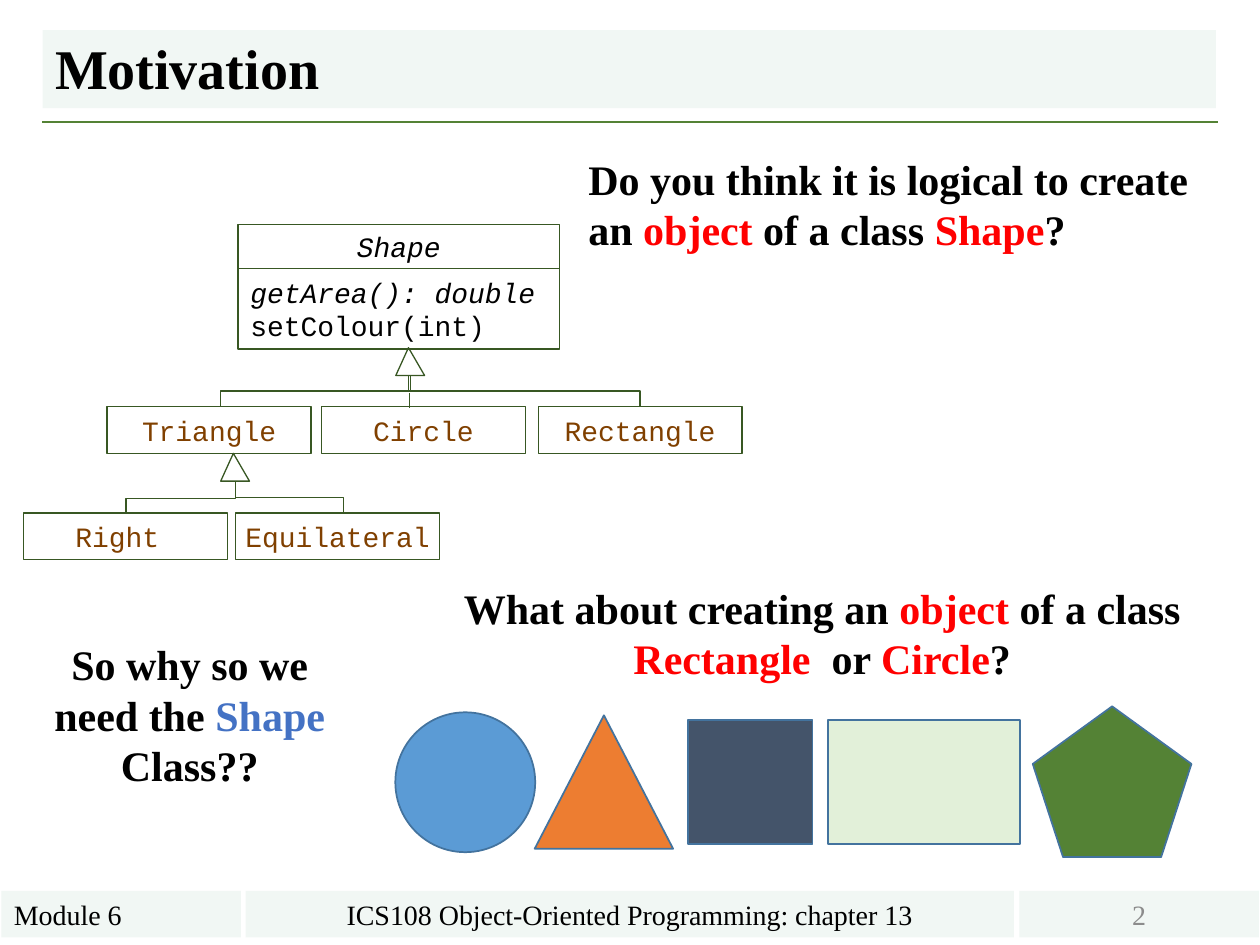
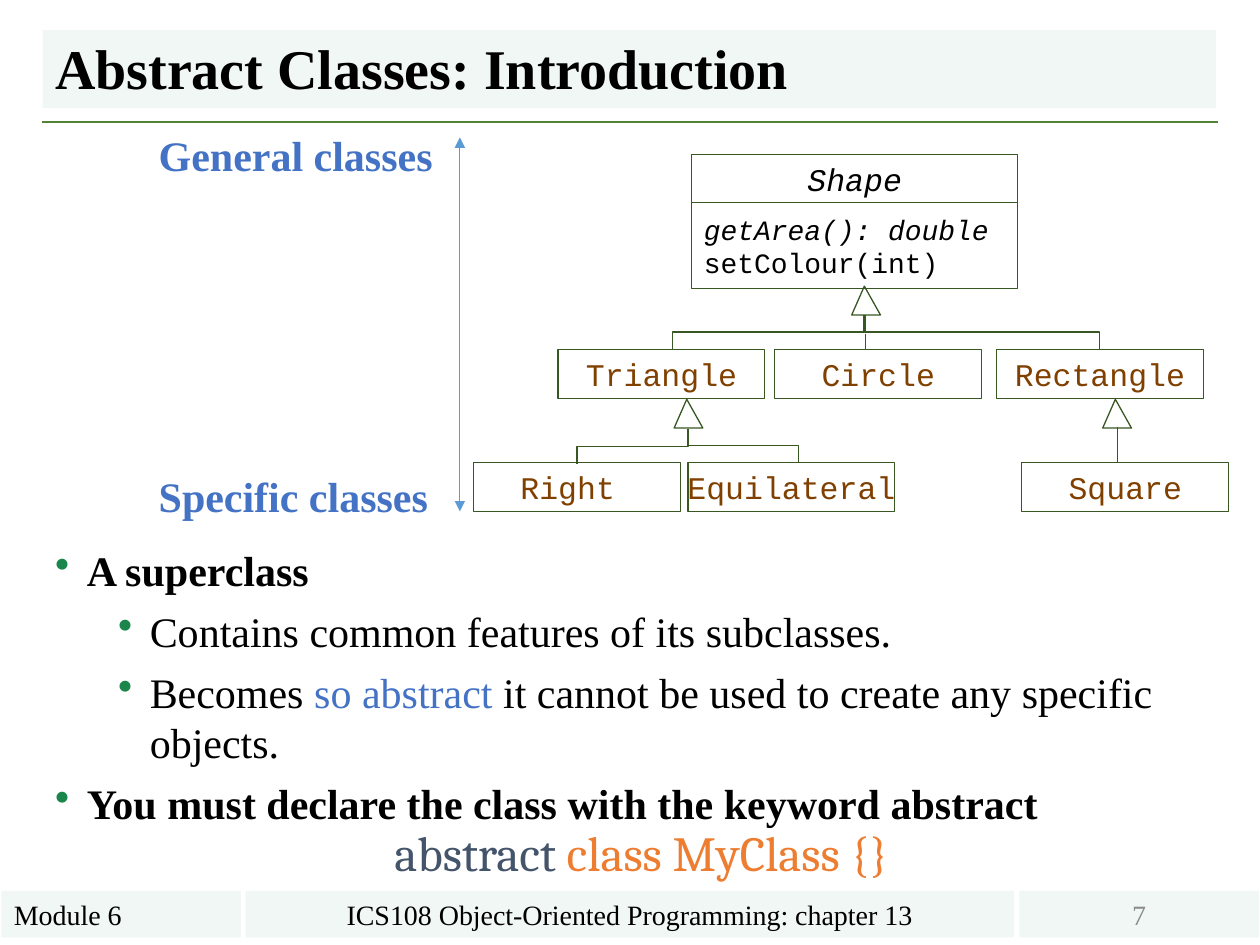
import lxml.etree
import pptx
import pptx.dml.color
import pptx.enum.shapes
import pptx.enum.text
import pptx.oxml.ns
import pptx.util

Cm = pptx.util.Cm
Pt = pptx.util.Pt
RGB = pptx.dml.color.RGBColor
qn = pptx.oxml.ns.qn
KIND = pptx.enum.shapes.MSO_SHAPE
LINK = pptx.enum.shapes.MSO_CONNECTOR
ALIGN = pptx.enum.text.PP_ALIGN
ANCHOR = pptx.enum.text.MSO_ANCHOR

# Colours
BLACK = RGB(0x00, 0x00, 0x00)
GREY = RGB(0x8C, 0x8C, 0x8C)
PALE = RGB(0xF1, 0xF7, 0xF4)
GREEN = RGB(0x54, 0x82, 0x35)
DARK = RGB(0x38, 0x57, 0x23)
MINT = RGB(0xE2, 0xF0, 0xD9)
BROWN = RGB(0x80, 0x40, 0x00)
RED = RGB(0xFF, 0x00, 0x00)
BLUE = RGB(0x44, 0x72, 0xC4)
SKY = RGB(0x5B, 0x9B, 0xD5)
EDGE = RGB(0x43, 0x73, 0x9E)
SLATE = RGB(0x44, 0x54, 0x6A)
ORANGE = RGB(0xED, 0x7D, 0x31)
BULLET = "1A864B"

# Text formats
SERIF = "Times New Roman"
TITLE = dict(name=SERIF, size=Pt(32), bold=True)
FOOT = dict(name=SERIF, size=Pt(16))
BOLD = dict(name=SERIF, size=Pt(24), bold=True)
PLAIN = dict(name=SERIF, size=Pt(24), bold=False)
CODE = dict(name="Cambria", size=Pt(28))


def mono(size, italic=False):
    return dict(name="Courier New", size=Pt(size), italic=italic)


class Deck:
    """Holds the style and the current slide; lengths are in centimetres."""

    def __init__(self):
        self.show = pptx.Presentation()
        self.show.slide_width = Cm(25.4)
        self.show.slide_height = Cm(19.05)

    def page(self, title, number):
        """Start a slide with title band, rule and footers."""
        self.slide = self.show.slides.add_slide(self.show.slide_layouts[6])
        self.line((0.85, 2.46), (24.55, 2.46), GREEN, 1.5)
        foots = [
            (0.03, 4.83, "Module 6", BLACK, ALIGN.LEFT, ANCHOR.TOP),
            (4.95, 15.49, "ICS108 Object-Oriented Programming: chapter 13",
             BLACK, ALIGN.CENTER, ANCHOR.TOP),
            (20.55, 4.83, number, GREY, ALIGN.CENTER, ANCHOR.MIDDLE),
        ]
        for left, width, words, color, align, anchor in foots:
            band = self.shape(KIND.RECTANGLE, (left, 17.96, width, 0.94), PALE)
            self.frame(band, anchor)
            self.para(band, [(words, color)], FOOT, align)
        band = self.shape(KIND.RECTANGLE, (0.86, 0.61, 23.65, 1.57), PALE)
        self.frame(band, ANCHOR.BOTTOM)
        self.para(band, [(title, BLACK)], TITLE).line_spacing = 0.9

    def shape(self, kind, box, fill=None, edge=None, width=0.75):
        item = self.slide.shapes.add_shape(kind, *map(Cm, box))
        item.shadow.inherit = False
        if fill is None:
            item.fill.background()
        else:
            item.fill.solid()
            item.fill.fore_color.rgb = fill
        if edge is None:
            item.line.fill.background()
        else:
            item.line.color.rgb = edge
            item.line.width = Pt(width)
        return item

    def frame(self, item, anchor=ANCHOR.TOP, wrap=True):
        item.text_frame.vertical_anchor = anchor
        item.text_frame.word_wrap = wrap

    def para(self, item, runs, form, align=ALIGN.LEFT, level=None):
        """Add a paragraph; a level makes it a bullet."""
        body = item.text_frame
        first = not body.paragraphs[0].runs
        para = body.paragraphs[0] if first else body.add_paragraph()
        para.alignment = align
        if level is not None:
            para.level = level
            if not first:
                para.space_before = Pt(6)
            props = para._p.get_or_add_pPr()
            props.set("marL", str(Cm(0.64 + 1.27 * level)))
            props.set("indent", str(-Cm(0.64)))
            tint = lxml.etree.SubElement(props, qn("a:buClr"))
            lxml.etree.SubElement(tint, qn("a:srgbClr"), val=BULLET)
            lxml.etree.SubElement(props, qn("a:buChar"), char="•")
        for words, color in runs:
            run = para.add_run()
            run.text = words
            for key, value in form.items():
                setattr(run.font, key, value)
            run.font.color.rgb = color
        return para

    def text(self, box, runs=(), form=BOLD, align=ALIGN.LEFT, wrap=True):
        item = self.slide.shapes.add_textbox(*map(Cm, box))
        self.frame(item, wrap=wrap)
        if runs:
            self.para(item, runs, form, align)
        return item

    def line(self, start, end, color, width, kind=LINK.STRAIGHT, heads=False):
        item = self.slide.shapes.add_connector(kind, *map(Cm, start + end))
        item.line.color.rgb = color
        item.line.width = Pt(width)
        props = item.element.spPr
        if heads:
            for tag in ("a:headEnd", "a:tailEnd"):
                lxml.etree.SubElement(props.find(qn("a:ln")), qn(tag), type="triangle")
        lxml.etree.SubElement(props, qn("a:effectLst"))
        return item

    def fork(self, top, low):
        """Elbow that leaves downwards: a sideways elbow turned by 90 degrees."""
        mid_x, mid_y = (top[0] + low[0]) / 2, (top[1] + low[1]) / 2
        half_x, half_y = (low[0] - top[0]) / 2, (low[1] - top[1]) / 2
        item = self.line((mid_x - half_y, mid_y + half_x),
                         (mid_x + half_y, mid_y - half_x), DARK, 0.75, LINK.ELBOW)
        item.element.spPr.find(qn("a:xfrm")).set("rot", str(90 * 60000))

    def node(self, box, lines, align=ALIGN.CENTER):
        """Class box; each line is (words, colour, format)."""
        item = self.shape(KIND.RECTANGLE, box, edge=DARK)
        self.frame(item, ANCHOR.MIDDLE, wrap=False)
        for words, color, form in lines:
            self.para(item, [(words, color)], form, align)

    def tree(self, root, split, size, cell, nodes, tip, tips, forks):
        """Class diagram: root box split into name and methods, then subclasses."""
        left, top, width, height = root
        self.node((left, top, width, split), [("Shape", BLACK, mono(size, True))])
        self.node((left, top + split, width, height - split),
                  [("getArea(): double", BLACK, mono(16, True)),
                   ("setColour(int)", BLACK, mono(16))], ALIGN.LEFT)
        for words, spot in nodes.items():
            self.node(spot + cell, [(words, BROWN, mono(size))])
        for spot in tips:
            self.shape(KIND.ISOSCELES_TRIANGLE, spot + tip, edge=DARK).adjustments[0] = 0.44
        for top, low in forks:
            self.fork(top, low)


def motive(deck):
    deck.page("Motivation", "2")
    # Questions
    deck.text((11.61, 2.97, 12.7, 2.31),
              [("Do you think it is logical to create an ", BLACK), ("object", RED),
               (" of a class ", BLACK), ("Shape", RED), ("?", BLACK)])
    deck.text((0.84, 12.75, 5.97, 3.33),
              [("So why so we need the ", BLACK), ("Shape", BLUE),
               (" Class??", BLACK)], align=ALIGN.CENTER)
    deck.text((8.84, 11.61, 15.47, 2.31),
              [("What about creating an ", BLACK), ("object", RED),
               (" of a class ", BLACK), ("Rectangle", RED), ("  or ", BLACK),
               ("Circle", RED), ("?", BLACK)], align=ALIGN.CENTER)
    # Row of sample shapes
    samples = [
        (KIND.OVAL, (7.97, 14.36, 2.82, 2.82), SKY),
        (KIND.ISOSCELES_TRIANGLE, (10.78, 14.42, 2.79, 2.69), ORANGE),
        (KIND.RECTANGLE, (13.87, 14.51, 2.51, 2.51), SLATE),
        (KIND.RECTANGLE, (16.69, 14.51, 3.87, 2.51), MINT),
        (KIND.REGULAR_PENTAGON, (20.82, 14.24, 3.2, 3.04), GREEN),
    ]
    for kind, box, fill in samples:
        deck.shape(kind, box, fill, EDGE, 1)
    # Class diagram
    row, low = 8.2, 10.34
    deck.tree(
        root=(4.8, 4.52, 6.48, 2.52), split=0.89, size=16, cell=(4.11, 0.94),
        nodes={"Circle": (6.48, row), "Rectangle": (10.85, row),
               "Triangle": (2.16, row), "Right ": (0.48, low),
               "Equilateral": (4.75, low)},
        tip=(0.58, 0.56), tips=[(7.98, 7.01), (4.45, 9.14)],
        forks=[((8.28, 7.57), (4.45, row)), ((8.23, 7.57), (12.9, row)),
               ((8.26, 7.92), (8.26, 8.23)), ((4.75, 9.7), (6.93, 10.36)),
               ((4.75, 9.73), (2.54, 10.36))])


def intro(deck):
    deck.page("Abstract Classes: Introduction", "7")
    # Bullets
    body = deck.text((0.86, 10.85, 23.72, 6.83))
    points = [
        (0, BOLD, [("A superclass", BLACK)]),
        (1, PLAIN, [("Contains common features of its subclasses.", BLACK)]),
        (1, PLAIN, [("Becomes ", BLACK), ("so abstract ", BLUE),
                    ("it cannot be used to create any specific objects.", BLACK)]),
        (0, BOLD, [("You must declare the class with the keyword abstract", BLACK)]),
    ]
    for level, form, runs in points:
        deck.para(body, runs, form, level=level)
    # Scale from general to specific
    for top, words in ((2.49, "General classes"), (9.37, "Specific classes")):
        deck.text((2.95, top, 6.06, 1.27), [(words, BLUE)], wrap=False)
    deck.line((9.27, 2.77), (9.27, 10.31), SKY, 0.5, heads=True)
    # Code line
    deck.text((5.97, 16.46, 13.92, 1.45),
              [("abstract ", SLATE), ("class MyClass {}", ORANGE)], CODE, ALIGN.CENTER)
    # Class diagram
    row, low = 7.04, 9.32
    deck.tree(
        root=(13.94, 3.12, 6.58, 2.7), split=0.97, size=18, cell=(4.17, 0.99),
        nodes={"Circle": (15.62, row), "Rectangle": (20.09, row),
               "Triangle": (11.25, row), "Square": (20.6, low),
               "Right ": (9.55, low), "Equilateral": (13.87, low)},
        tip=(0.58, 0.58), tips=[(17.17, 5.77), (13.59, 8.05), (22.23, 8.05)],
        forks=[((17.45, 6.35), (13.56, row)), ((17.42, 6.35), (22.17, row)),
               ((17.45, 6.73), (17.45, 7.06)), ((13.87, 8.64), (16.1, low)),
               ((13.87, 8.66), (11.63, 9.35)), ((22.53, 8.61), (22.53, low))])


def main():
    deck = Deck()
    motive(deck)
    intro(deck)
    deck.show.save("out.pptx")


if __name__ == "__main__":
    main()
